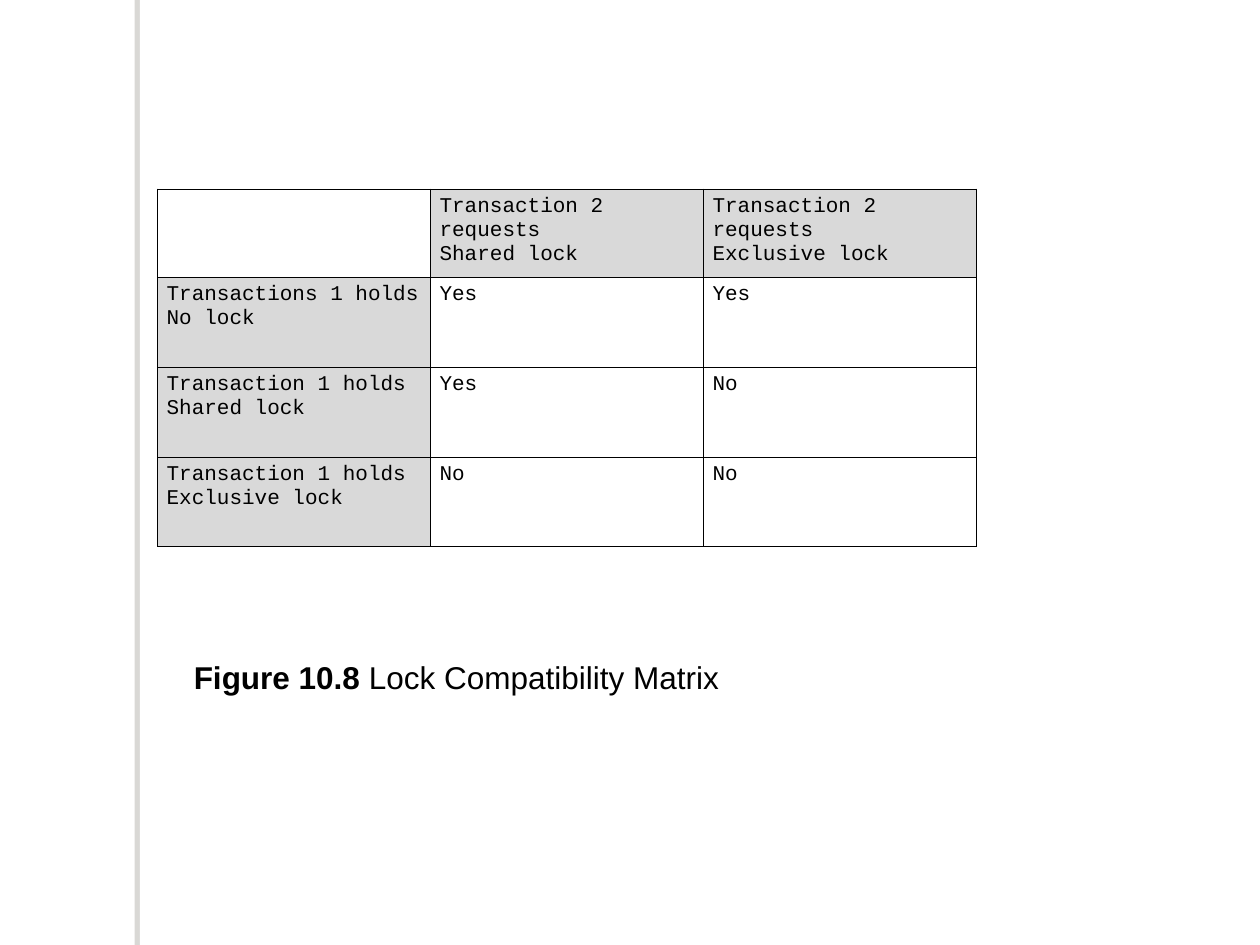
import pptx
import pptx.dml.color
import pptx.enum.shapes
import pptx.enum.text
import pptx.oxml
import pptx.oxml.ns
import pptx.util

Pt = pptx.util.Pt
HEX = {"ink": "000000", "paper": "FFFFFF", "head": "D9D9D9", "shade": "706B5F"}
NS = pptx.oxml.ns.nsdecls("a")

ROWS = [
    ["", "Transaction 2 requests\nShared lock", "Transaction 2 requests\nExclusive lock"],
    ["Transactions 1 holds\nNo lock", "Yes", "Yes"],
    ["Transaction 1 holds\nShared lock", "Yes", "No"],
    ["Transaction 1 holds Exclusive lock", "No", "No"],
]
TALL = [50.3, 51.4, 51.4, 51.4]
WIDE = 156
CELL = {"name": "Courier New", "size": Pt(12), "bold": False}
TITLE = {"name": "Arial", "size": Pt(18)}
INSET = {"margin_left": Pt(5.2), "margin_right": Pt(5.2),
         "margin_top": Pt(3.6), "margin_bottom": Pt(3.6)}


def tint(key):
    return pptx.dml.color.RGBColor.from_string(HEX[key])


def put(item, vals):
    for key, val in vals.items():
        setattr(item, key, val)


def style(font, vals):
    put(font, vals)
    font.color.rgb = tint("ink")


def add_bar(slide):
    bar = slide.shapes.add_shape(pptx.enum.shapes.MSO_SHAPE.RECTANGLE,
                                 Pt(80), Pt(0), Pt(5.5), Pt(540))
    bar.fill.solid()
    bar.fill.fore_color.rgb = tint("paper")
    bar.line.fill.background()
    # Soft shadow cast to the left
    bar.shadow.inherit = False
    glow = bar.element.spPr.find(pptx.oxml.ns.qn("a:effectLst"))
    glow.append(pptx.oxml.parse_xml(
        f'<a:outerShdw {NS} blurRad="0" dist="{Pt(3)}" dir="10800000" rotWithShape="0">'
        f'<a:srgbClr val="{HEX["shade"]}"><a:alpha val="25000"/></a:srgbClr>'
        '</a:outerShdw>'))


def add_edges(cell):
    props = cell._tc.get_or_add_tcPr()
    for spot, side in enumerate("LRTB"):
        props.insert(spot, pptx.oxml.parse_xml(
            f'<a:ln{side} {NS} w="{Pt(0.45)}"><a:solidFill>'
            f'<a:srgbClr val="{HEX["ink"]}"/></a:solidFill></a:ln{side}>'))


def fill_cell(cell, text, head):
    cell.text = text
    put(cell, INSET)
    for para in cell.text_frame.paragraphs:
        style(para.font, CELL)
    if head:
        cell.fill.solid()
        cell.fill.fore_color.rgb = tint("head")
    else:
        cell.fill.background()
    add_edges(cell)


def add_grid(slide):
    count = len(ROWS[0])
    grid = slide.shapes.add_table(len(ROWS), count, Pt(90), Pt(108),
                                  Pt(WIDE * count), Pt(sum(TALL))).table
    put(grid, {"first_row": False, "horz_banding": False})
    for col in grid.columns:
        col.width = Pt(WIDE)
    for r, (row, tall) in enumerate(zip(ROWS, TALL)):
        grid.rows[r].height = Pt(tall)
        for c, text in enumerate(row):
            # Heads are shaded, apart from the empty corner
            fill_cell(grid.cell(r, c), text, (r == 0) != (c == 0))


def add_title(slide):
    box = slide.shapes.add_textbox(Pt(103.7), Pt(372.2), Pt(314.6), Pt(29))
    frame = box.text_frame
    put(frame, {"word_wrap": False,
                "auto_size": pptx.enum.text.MSO_AUTO_SIZE.SHAPE_TO_FIT_TEXT})
    for text, bold in [("Figure 10.8", True), (" Lock Compatibility Matrix", False)]:
        run = frame.paragraphs[0].add_run()
        run.text = text
        style(run.font, {**TITLE, "bold": bold})


def main():
    deck = pptx.Presentation()
    put(deck, {"slide_width": Pt(720), "slide_height": Pt(540)})
    slide = deck.slides.add_slide(deck.slide_layouts[6])
    # Side bar, lock matrix, caption
    add_bar(slide)
    add_grid(slide)
    add_title(slide)
    deck.save("out.pptx")


if __name__ == "__main__":
    main()
